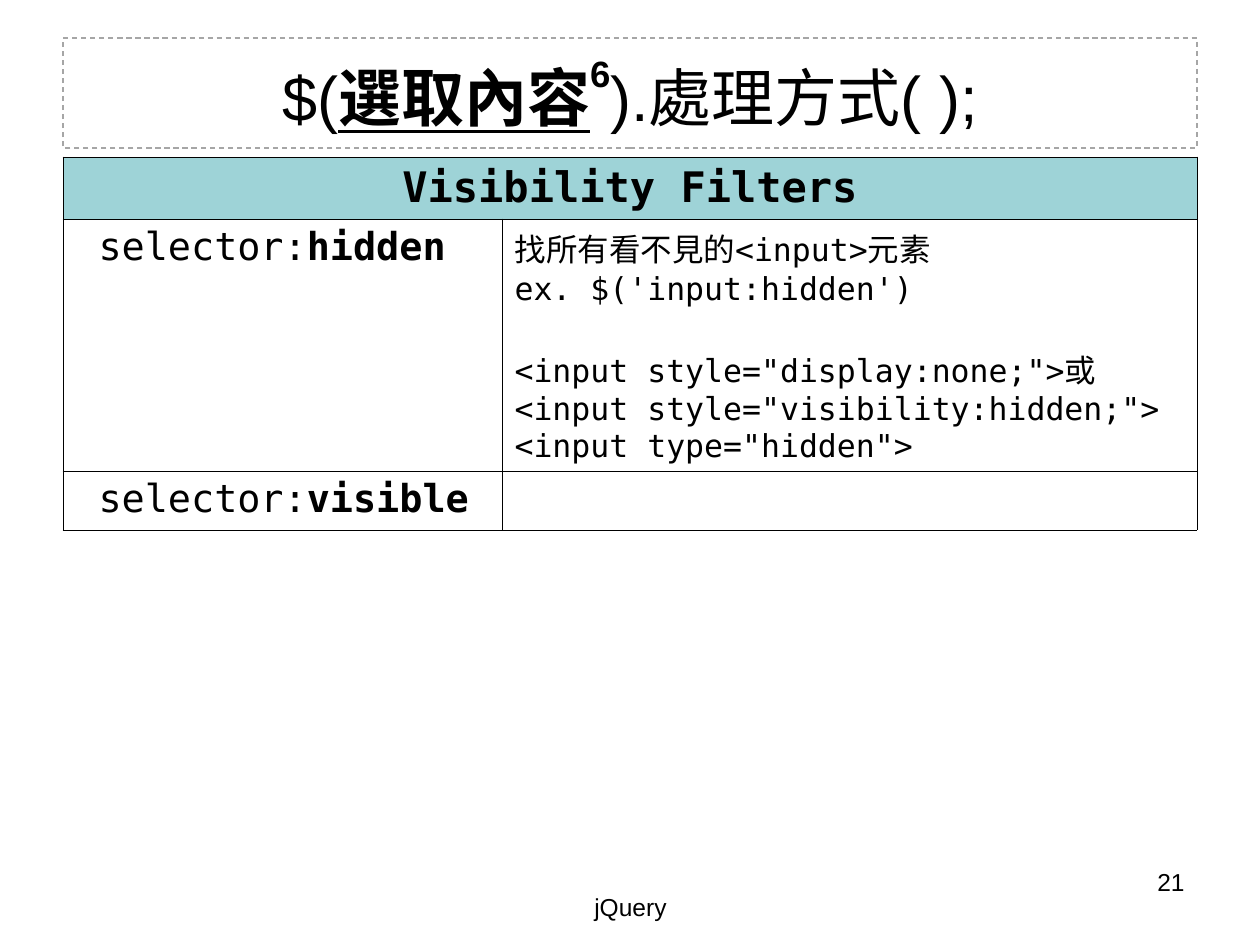
"""Build the slide on jQuery visibility filters."""
from dataclasses import dataclass

from lxml import etree
from pptx import Presentation
from pptx.dml.color import RGBColor
from pptx.enum.dml import MSO_LINE
from pptx.enum.text import MSO_ANCHOR, MSO_AUTO_SIZE, PP_ALIGN
from pptx.oxml.ns import qn
from pptx.util import Pt

LEFT, CENTER, RIGHT = PP_ALIGN.LEFT, PP_ALIGN.CENTER, PP_ALIGN.RIGHT
MIDDLE, NO_FIT, DASH = MSO_ANCHOR.MIDDLE, MSO_AUTO_SIZE.NONE, MSO_LINE.DASH
TITLE_ONLY = 5
PX = 914400 // 126


@dataclass(frozen=True)
class Theme:
    ink: str = "000000"
    header: str = "9ED3D7"
    frame: str = "A6A6A6"
    sans: str = "Arial"
    mono: str = "DejaVu Sans Mono"
    title: int = 36
    heading: int = 24
    selector: int = 22
    code: int = 18
    footer: int = 14
    border: float = 0.45


THEME = Theme()
TITLE = [("$(", ""), ("選取內容", "bold underline"), ("6", "bold raised"),
         (").處理方式( );", "")]
HEADING = "Visibility Filters"
FILTERS = [
    ("hidden", [
        ["找所有看不見的<input>元素", "ex. $('input:hidden')"],
        ['<input style="display:none;">或',
         '<input style="visibility:hidden;">',
         '<input type="hidden">'],
    ]),
    ("visible", []),
]
FOOTERS = [("21", RIGHT, (903, 861, 294, 66)),
           ("jQuery", CENTER, (431, 886, 399, 63))]
TITLE_BOX = (63, 38, 1134, 110)
TABLE_LEFT, TABLE_TOP = 63, 157
COLUMNS, ROWS = (439, 695), (62, 249, 59)
SELECTOR_INDENT = 23
GROUP_GAP = 22


def place(*lengths):
    return [length * PX for length in lengths]


def style(para, size, name, align=LEFT):
    para.alignment = align
    para.font.size = Pt(size)
    para.font.name = name
    para.font.color.rgb = RGBColor.from_string(THEME.ink)


def add_spans(para, spans):
    for text, look in spans:
        span = para.add_run()
        span.text = text
        span.font.bold = "bold" in look
        span.font.underline = "underline" in look
        if "raised" in look:
            span.font._element.set("baseline", "54000")


def add_title(page):
    box = page.shapes.title
    box.left, box.top, box.width, box.height = place(*TITLE_BOX)
    box.line.color.rgb = RGBColor.from_string(THEME.frame)
    box.line.width = Pt(0.75)
    box.line.dash_style = DASH
    frame = box.text_frame
    frame.auto_size = NO_FIT
    frame.vertical_anchor = MIDDLE
    para = frame.paragraphs[0]
    style(para, THEME.title, THEME.sans, CENTER)
    add_spans(para, TITLE)


def format_cell(cell):
    cell.fill.background()
    properties = cell._tc.get_or_add_tcPr()
    for index, side in enumerate(("lnL", "lnR", "lnT", "lnB")):
        line = etree.Element(qn(f"a:{side}"), w=str(int(Pt(THEME.border))))
        fill = etree.SubElement(line, qn("a:solidFill"))
        etree.SubElement(fill, qn("a:srgbClr"), val=THEME.ink)
        properties.insert(index, line)


def fill_description(frame, groups):
    lines = [(text, number > 0 and index == 0)
             for number, group in enumerate(groups)
             for index, text in enumerate(group)]
    for index, (text, starts_group) in enumerate(lines):
        para = frame.add_paragraph() if index else frame.paragraphs[0]
        style(para, THEME.code, THEME.mono)
        para.add_run().text = text
        if starts_group:
            para.space_before = Pt(GROUP_GAP)


def add_filters(page):
    area = place(TABLE_LEFT, TABLE_TOP, sum(COLUMNS), sum(ROWS))
    table = page.shapes.add_table(len(ROWS), len(COLUMNS), *area).table
    table.first_row = table.horz_banding = False
    for column, width in zip(table.columns, COLUMNS):
        column.width = width * PX
    for row, height in zip(table.rows, ROWS):
        row.height = height * PX
    for cell in table.iter_cells():
        format_cell(cell)

    header = table.cell(0, 0)
    header.merge(table.cell(0, 1))
    header.fill.solid()
    header.fill.fore_color.rgb = RGBColor.from_string(THEME.header)
    para = header.text_frame.paragraphs[0]
    style(para, THEME.heading, THEME.mono, CENTER)
    add_spans(para, [(HEADING, "bold")])

    for row, (name, groups) in enumerate(FILTERS, start=1):
        para = table.cell(row, 0).text_frame.paragraphs[0]
        style(para, THEME.selector, THEME.mono)
        para._p.get_or_add_pPr().set("marL", str(SELECTOR_INDENT * PX))
        add_spans(para, [("selector:", ""), (name, "bold")])
        fill_description(table.cell(row, 1).text_frame, groups)


def add_footers(page):
    for text, align, area in FOOTERS:
        frame = page.shapes.add_textbox(*place(*area)).text_frame
        frame.word_wrap = True
        para = frame.paragraphs[0]
        para.text = text
        style(para, THEME.footer, THEME.sans, align)


def main():
    deck = Presentation()
    deck.slide_width, deck.slide_height = place(1260, 945)
    page = deck.slides.add_slide(deck.slide_layouts[TITLE_ONLY])
    add_title(page)
    add_filters(page)
    add_footers(page)
    deck.save("out.pptx")


if __name__ == "__main__":
    main()
